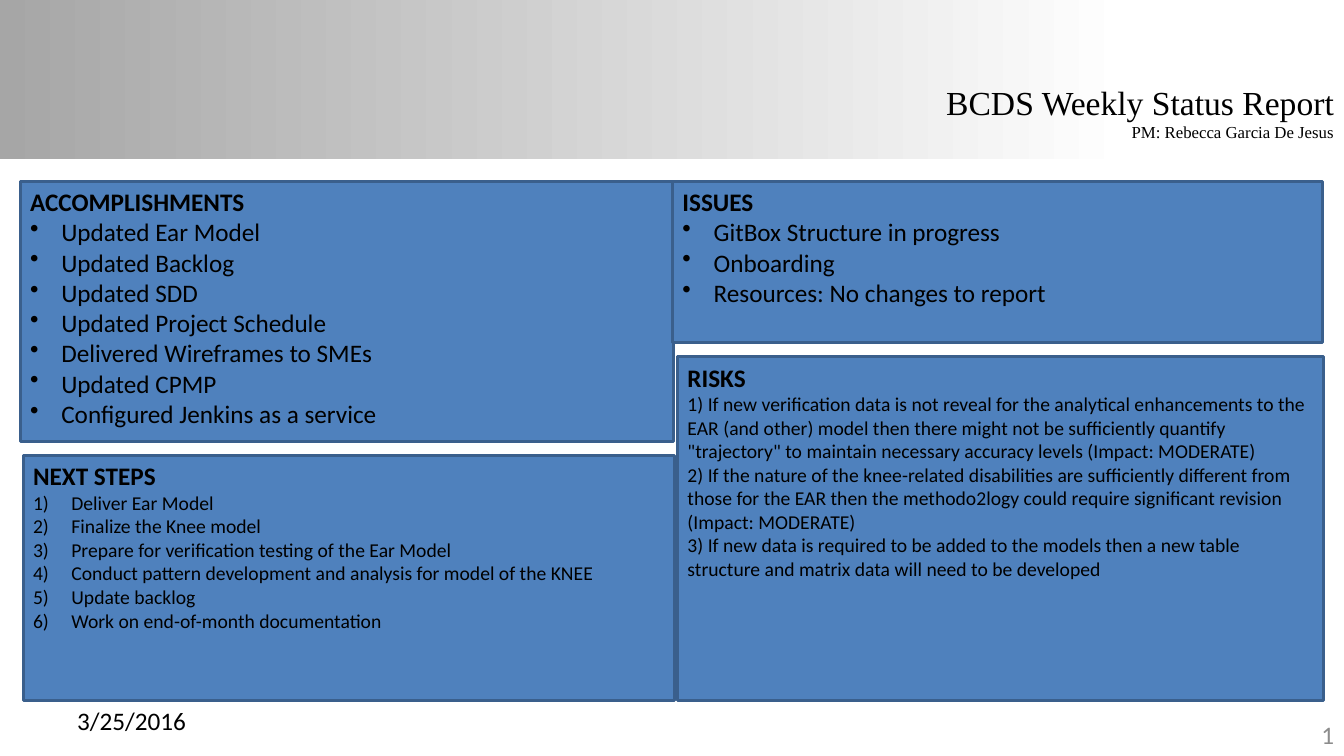
from lxml import etree
from pptx import Presentation
from pptx.dml.color import RGBColor
from pptx.enum.shapes import MSO_SHAPE
from pptx.enum.text import MSO_ANCHOR, PP_ALIGN
from pptx.oxml.ns import qn
from pptx.util import Inches, Pt

RECT = MSO_SHAPE.RECTANGLE
TOP, MIDDLE = MSO_ANCHOR.TOP, MSO_ANCHOR.MIDDLE
LEFT, RIGHT = PP_ALIGN.LEFT, PP_ALIGN.RIGHT
WIDE, HIGH = 13.33, 7.5
SANS, SERIF = "Calibri", "Times New Roman"
HEX = {
    "ink": "000000",
    "page": "8C8C8C",
    "panel": "4F81BD",
    "edge": "3A5F8C",
    "dark": "A6A6A6",
    "light": "FFFFFF",
}
BULLET = ("buChar", {"char": "•"}, 0.31)
NUMBER = ("buAutoNum", {"type": "arabicParenR"}, 0.38)

PANELS = [
    ((0.2, 1.8, 6.48, 2.58), "ACCOMPLISHMENTS", 18, BULLET, [
        "Updated Ear Model",
        "Updated Backlog",
        "Updated SDD",
        "Updated Project Schedule",
        "Delivered Wireframes to SMEs",
        "Updated CPMP",
        "Configured Jenkins as a service",
    ]),
    ((0.23, 4.52, 6.46, 2.43), "NEXT STEPS", 14, NUMBER, [
        "Deliver Ear Model",
        "Finalize the Knee model",
        "Prepare for verification testing of the Ear Model",
        "Conduct pattern development and analysis for model of the KNEE",
        "Update backlog",
        "Work on end-of-month documentation",
    ]),
    ((6.67, 1.8, 6.45, 1.6), "ISSUES", 18, BULLET, [
        "GitBox Structure in progress",
        "Onboarding",
        "Resources: No changes to report",
    ]),
    ((6.72, 3.54, 6.41, 3.41), "RISKS", 14, None, [
        "1) If new verification data is not reveal for the analytical "
        "enhancements to the EAR (and other) model then there might not be "
        "sufficiently quantify \"trajectory\" to maintain necessary accuracy "
        "levels (Impact: MODERATE)",
        "2) If the nature of the knee-related disabilities are sufficiently "
        "different from those for the EAR then the methodo2logy could require "
        "significant revision (Impact: MODERATE)",
        "3) If new data is required to be added to the models then a new "
        "table structure and matrix data will need to be developed",
    ]),
]


def color(name):
    return RGBColor.from_string(HEX[name])


def mark(para, style):
    tag, attrs, indent = style
    props = para._p.get_or_add_pPr()
    props.set("marL", str(Inches(indent)))
    props.set("indent", str(-Inches(indent)))
    etree.SubElement(props, qn("a:" + tag), attrs)


def write(frame, lines, align=LEFT, face=SANS, ink="ink"):
    for i, (text, size, bold, style) in enumerate(lines):
        para = frame.paragraphs[0] if i == 0 else frame.add_paragraph()
        para.alignment = align
        if style:
            mark(para, style)
        run = para.add_run()
        run.text = text
        run.font.name = face
        run.font.size = Pt(size)
        run.font.bold = bold
        run.font.color.rgb = color(ink)


def block(slide, box):
    shape = slide.shapes.add_shape(RECT, *map(Inches, box))
    shape.shadow.inherit = False
    return shape


def label(slide, box, lines, anchor=MIDDLE, wrap=True, **look):
    frame = slide.shapes.add_textbox(*map(Inches, box)).text_frame
    frame.word_wrap = wrap
    frame.vertical_anchor = anchor
    write(frame, lines, **look)


def header(slide, box):
    left, top, width, height = box
    band = block(slide, box)
    band.line.fill.background()
    band.fill.gradient()
    band.fill.gradient_angle = 0
    stops = zip(band.fill.gradient_stops, ("dark", "light"), (0, 0.84))
    for stop, name, place in stops:
        stop.color.rgb = color(name)
        stop.position = place
    wide = 4.08
    label(slide, (left + width - wide, top + 0.76, wide, 0.71), [
        ("BCDS Weekly Status Report", 24, False, None),
        ("PM: Rebecca Garcia De Jesus", 12, False, None),
    ], anchor=TOP, wrap=False, align=RIGHT, face=SERIF)


def panel(slide, box, title, size, style, items):
    shape = block(slide, box)
    shape.fill.solid()
    shape.fill.fore_color.rgb = color("panel")
    shape.line.color.rgb = color("edge")
    shape.line.width = Pt(2)
    frame = shape.text_frame
    frame.word_wrap = True
    frame.vertical_anchor = TOP
    lines = [(title, 18, True, None)]
    lines += [(item, size, False, style) for item in items]
    write(frame, lines)


def footer(slide, box):
    left, top, width, height = box
    wide, high = 3.11, 0.4
    label(slide, (left + width - wide, top + 0.14, wide, high),
          [("1", 18, False, None)], align=RIGHT, ink="page")
    label(slide, (left + width / 20, top, wide, high),
          [("3/25/2016", 18, False, None)])


def main():
    deck = Presentation()
    deck.slide_width, deck.slide_height = Inches(WIDE), Inches(HIGH)
    slide = deck.slides.add_slide(deck.slide_layouts[6])
    header(slide, (0, 0, WIDE, 1.58))
    footer(slide, (0, 6.95, WIDE, HIGH - 6.95))
    for part in PANELS:
        panel(slide, *part)
    deck.save("out.pptx")


if __name__ == "__main__":
    main()
